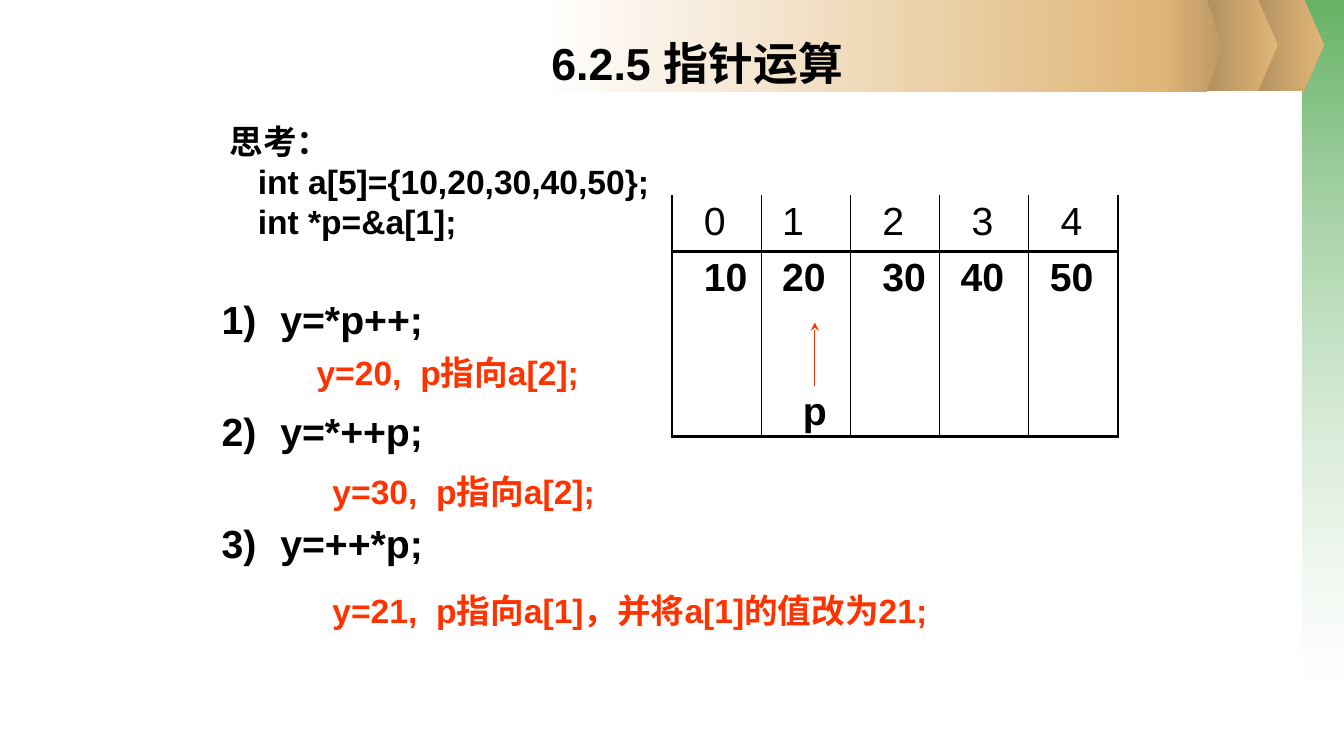
from dataclasses import dataclass

from lxml import etree
from pptx import Presentation
from pptx import util as u
from pptx.dml.color import RGBColor
from pptx.enum import shapes, text
from pptx.oxml.ns import qn

COLUMNS, ROWS = 160, 90  # grid cells across and down the slide


@dataclass(frozen=True)
class Theme:
    font: str = "Arial"
    ink: str = "000000"
    answer: str = "FF3300"
    paper: str = "FFFFFF"
    green: str = "339933"
    sand: str = "E0B678"
    bronze: str = "AB8B5C"
    brown: str = "BD9965"
    title_size: int = 32
    item_size: int = 28
    note_size: int = 24
    thin: float = 1
    thick: float = 2.25


class Page:
    def __init__(self, deck, theme):
        self.theme = theme
        self.column = deck.slide_width / COLUMNS
        self.row = deck.slide_height / ROWS
        self.slide = deck.slides.add_slide(deck.slide_layouts[6])

    def x(self, columns):
        return u.Emu(round(columns * self.column))

    def y(self, rows):
        return u.Emu(round(rows * self.row))

    def area(self, left, top, width, height):
        return self.x(left), self.y(top), self.x(width), self.y(height)

    def style(self, para, size, color=None, bold=True):
        para.font.name = self.theme.font
        para.font.size = u.Pt(size)
        para.font.bold = bold
        para.font.color.rgb = RGBColor.from_string(color or self.theme.ink)

    def indent(self, para, left, hanging=0):
        props = para._p.get_or_add_pPr()
        props.set("marL", str(self.x(left)))
        props.set("indent", str(-self.x(hanging)))
        return props

    def gradient(self, kind, area, colors, angle=0, alphas=()):
        shape = self.slide.shapes.add_shape(kind, *self.area(*area))
        shape.shadow.inherit = False
        shape.line.fill.background()
        if kind == shapes.MSO_SHAPE.PENTAGON:
            shape.adjustments[0] = 0.25
        shape.fill.gradient()
        shape.fill.gradient_angle = angle
        for stop, color, place in zip(shape.fill.gradient_stops, colors, (0, 1)):
            stop.color.rgb = RGBColor.from_string(color)
            stop.position = place
        for node, alpha in zip(shape._element.spPr.iter(qn("a:srgbClr")), alphas):
            etree.SubElement(node, qn("a:alpha"), val=str(alpha * 1000))

    def text_box(self, area, lines, size, color=None, align=None, spacing=None,
                 before=0, indents=None, numbered=False, tab=None, wrap=True,
                 anchor=text.MSO_ANCHOR.TOP):
        box = self.slide.shapes.add_textbox(*self.area(*area))
        frame = box.text_frame
        frame.word_wrap = wrap
        frame.vertical_anchor = anchor
        for index, line in enumerate(lines):
            para = frame.paragraphs[0] if index == 0 else frame.add_paragraph()
            para.text = line
            if align:
                para.alignment = align
            if spacing:
                para.line_spacing = spacing
            if index and before:
                para.space_before = u.Pt(before)
            if indents:
                props = self.indent(para, *indents[index])
                if numbered:
                    etree.SubElement(props, qn("a:buFont"), typeface=self.theme.font)
                    etree.SubElement(props, qn("a:buAutoNum"), type="arabicParenR")
            if tab:
                stops = etree.SubElement(para._p.get_or_add_pPr(), qn("a:tabLst"))
                etree.SubElement(stops, qn("a:tab"), pos=str(self.x(tab)), algn="l")
            self.style(para, size, color)
        return box

    def border(self, cell, side, width):
        line = etree.SubElement(cell._tc.get_or_add_tcPr(), qn(f"a:ln{side}"),
                                w=str(u.Pt(width)))
        if not width:
            etree.SubElement(line, qn("a:noFill"))
            return
        fill = etree.SubElement(line, qn("a:solidFill"))
        etree.SubElement(fill, qn("a:srgbClr"), val=self.theme.ink)

    def table_row(self, area, values, indents, bold, outer, level):
        table = self.slide.shapes.add_table(1, len(values), *self.area(*area)).table
        table.first_row = table.horz_banding = False
        table.rows[0].height = self.y(area[3])
        last = len(values) - 1
        for index, (value, left) in enumerate(zip(values, indents)):
            table.columns[index].width = self.x(area[2] / len(values))
            cell = table.cell(0, index)
            sides = {"L": outer if index == 0 else self.theme.thin,
                     "R": outer if index == last else self.theme.thin,
                     "T": level, "B": level}
            for side, width in sides.items():
                self.border(cell, side, width)
            cell.fill.background()
            para = cell.text_frame.paragraphs[0]
            para.text = value
            self.indent(para, left)
            self.style(para, self.theme.item_size, bold=bold)

    def arrow_from(self, box, end):
        x, y = self.x(end[0]), self.y(end[1])
        arrow = self.slide.shapes.add_connector(
            shapes.MSO_CONNECTOR.STRAIGHT, x, box.top, x, y)
        arrow.begin_connect(box, 0)
        arrow.line.width = u.Pt(0.75)
        arrow.line.color.rgb = RGBColor.from_string(self.theme.answer)
        line = arrow._element.spPr.find(qn("a:ln"))
        etree.SubElement(line, qn("a:tailEnd"), type="stealth")
        etree.SubElement(arrow._element.spPr, qn("a:effectLst"))


def main():
    deck = Presentation()
    deck.slide_width, deck.slide_height = u.Inches(13.33), u.Inches(7.5)
    theme = Theme()
    page = Page(deck, theme)
    rectangle, plate = shapes.MSO_SHAPE.RECTANGLE, shapes.MSO_SHAPE.PENTAGON

    # Side strip and header band
    page.gradient(rectangle, (155.08, 0, 4.92, 81.24), (theme.green, theme.paper),
                  angle=270, alphas=(75, 37))
    for left in (148.1, 142.6):
        page.gradient(plate, (left, -0.1, 9.5, 10.95), (theme.bronze, theme.sand))
    page.gradient(rectangle, (64.3, 0, 73.7, 10.95), (theme.paper, theme.sand))
    page.gradient(plate, (138, 0, 7.45, 10.95), (theme.sand, theme.brown))

    # Declarations
    page.text_box((26.16, 14.76, 57.6, 17),
                  ["思考：", "int a[5]={10,20,30,40,50};", "int *p=&a[1];"],
                  theme.note_size, spacing=0.8, before=5.5,
                  indents=[(0, 0), (3.35, 0), (3.35, 0)])

    # Array values under their indices
    one, two = 1.3, 2.6
    page.table_row((80, 29.9, 53.1, 22.1), ["10", "20", "30", "40", "50"],
                   [two, one, two, one, one], True, theme.thick, theme.thick)
    page.table_row((80, 23.25, 53.1, 6.8), list("01234"),
                   [two, one, two, two, two], False, theme.thin, 0)

    # Title
    page.text_box((26, 3.6, 114, 15), ["6.2.5 指针运算"], theme.title_size,
                  align=text.PP_ALIGN.CENTER)

    # Pointer
    pointer = page.text_box((94.2, 46, 5.6, 5.6), ["p"], theme.item_size,
                            align=text.PP_ALIGN.CENTER, wrap=False,
                            anchor=text.MSO_ANCHOR.MIDDLE)
    page.arrow_from(pointer, (97, 38.4))

    # Questions
    page.text_box((25.2, 34.6, 54.8, 43.4), ["y=*p++;", "y=*++p;", "y=++*p;"],
                  theme.item_size, before=46.4, indents=[(7, 7)] * 3, numbered=True)

    # Answers
    answers = [(36.5, 41.3, 36.8, "y=20,\tp指向a[2];"),
               (38.4, 55.45, 36.8, "y=30,\tp指向a[2];"),
               (38.4, 69.6, 76.6, "y=21,\tp指向a[1]，并将a[1]的值改为21;")]
    for left, top, width, line in answers:
        page.text_box((left, top, width, 6), [line], theme.note_size,
                      theme.answer, tab=12.35)

    deck.save("out.pptx")


if __name__ == "__main__":
    main()
